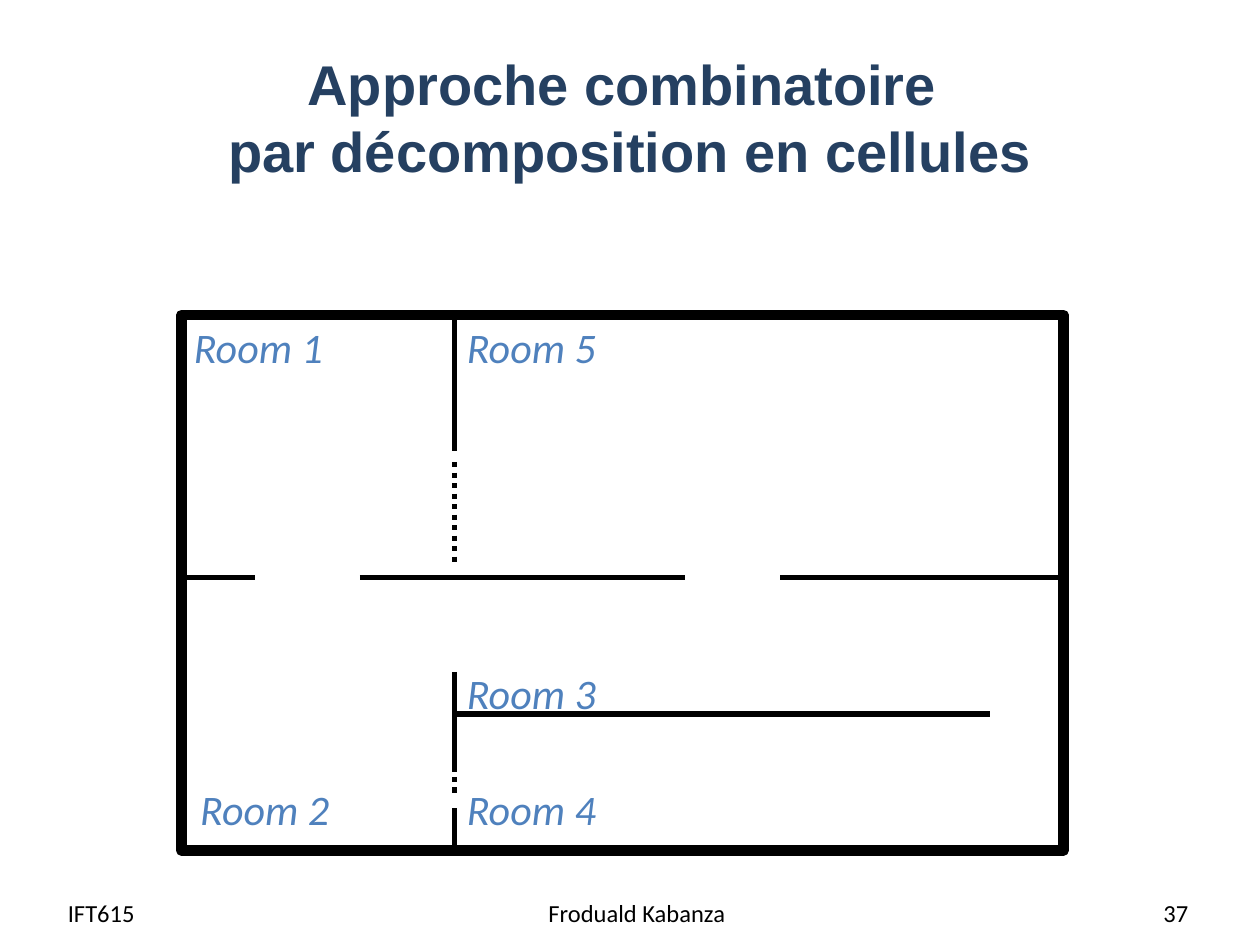
from lxml.etree import SubElement
from pptx import Presentation
from pptx.dml.color import RGBColor
from pptx.enum.dml import MSO_LINE
from pptx.enum.shapes import MSO_CONNECTOR, MSO_SHAPE
from pptx.enum.text import MSO_ANCHOR, PP_ALIGN
from pptx.oxml.ns import qn
from pptx.util import Inches, Pt

BLACK = RGBColor(0x00, 0x00, 0x00)
NAVY = RGBColor(0x25, 0x40, 0x61)
BLUE = RGBColor(0x4F, 0x81, 0xBD)

COLS, ROWS = 84, 51  # floor plan grid

# (from column, from row, to column, to row)
WALLS = [
    (0, 25, 7, 25), (17, 25, 48, 25), (84, 25, 57, 25),
    (26, 0, 26, 13), (26, 34, 26, 43), (26, 47, 26, 51),
    (26, 38, 77, 38),
]
DOORS = [(26, 14, 26, 24), (26, 43, 26, 46)]

# (name, column, row) of each label's top left corner
ROOMS = [
    ("Room 1", -0.6, 0), ("Room 2", 0, 44), ("Room 5", 25.4, 0),
    ("Room 4", 25.4, 44), ("Room 3", 25.4, 33),
]


def add_text(shapes, box, text, size, color, font="Calibri", align=PP_ALIGN.CENTER,
             anchor=MSO_ANCHOR.MIDDLE, wrap=True, bold=False, italic=False):
    tf = shapes.add_textbox(*(Inches(v) for v in box)).text_frame
    tf.word_wrap = wrap
    tf.vertical_anchor = anchor
    p = tf.paragraphs[0]
    p.text = text
    p.alignment = align
    p.font.name, p.font.size = font, Pt(size)
    p.font.bold, p.font.italic = bold, italic
    p.font.color.rgb = color


def add_line(shapes, x1, y1, x2, y2, dash=None):
    s = shapes.add_connector(MSO_CONNECTOR.STRAIGHT, *(Inches(v) for v in (x1, y1, x2, y2)))
    s.line.color.rgb = BLACK
    s.line.width = Pt(3)
    if dash:
        s.line.dash_style = dash
    SubElement(s._element.spPr, qn("a:effectLst"))


def add_floor_plan(slide, left, top, width, height):
    shapes = slide.shapes.add_group_shape().shapes

    def x(col):
        return left + width * col / COLS

    def y(row):
        return top + height * row / ROWS

    s = shapes.add_shape(MSO_SHAPE.RECTANGLE, *(Inches(v) for v in (left, top, width, height)))
    s.shadow.inherit = False
    s.fill.background()
    s.line.color.rgb = BLACK
    s.line.width = Pt(6)

    for segments, dash in ((WALLS, None), (DOORS, MSO_LINE.ROUND_DOT)):
        for c1, r1, c2, r2 in segments:
            add_line(shapes, x(c1), y(r1), x(c2), y(r2), dash)
    for name, col, row in ROOMS:
        add_text(shapes, (x(col), y(row), 1.32, 0.51), name, 24, BLUE,
                 anchor=MSO_ANCHOR.TOP, wrap=False, italic=True)


def add_footer(slide, top, height):
    for text, left, width, align in (
        ("IFT615", 0.44, 1.93, PP_ALIGN.LEFT),
        ("Froduald Kabanza", 3.47, 3.17, PP_ALIGN.CENTER),
        ("37", 7.2, 2.33, PP_ALIGN.RIGHT),
    ):
        add_text(slide.shapes, (left, top, width, height), text, 14, BLACK, align=align)


def main():
    prs = Presentation()
    prs.slide_width, prs.slide_height = Inches(10), Inches(7.5)
    slide = prs.slides.add_slide(prs.slide_layouts[6])
    add_floor_plan(slide, 1.44, 2.5, 7, 4.25)
    add_footer(slide, 7.04, 0.4)
    add_text(slide.shapes, (0.5, 0.3, 9, 1.25),
             "Approche combinatoire \vpar décomposition en cellules",
             32, NAVY, font="Arial", bold=True)
    prs.save("out.pptx")


if __name__ == "__main__":
    main()
